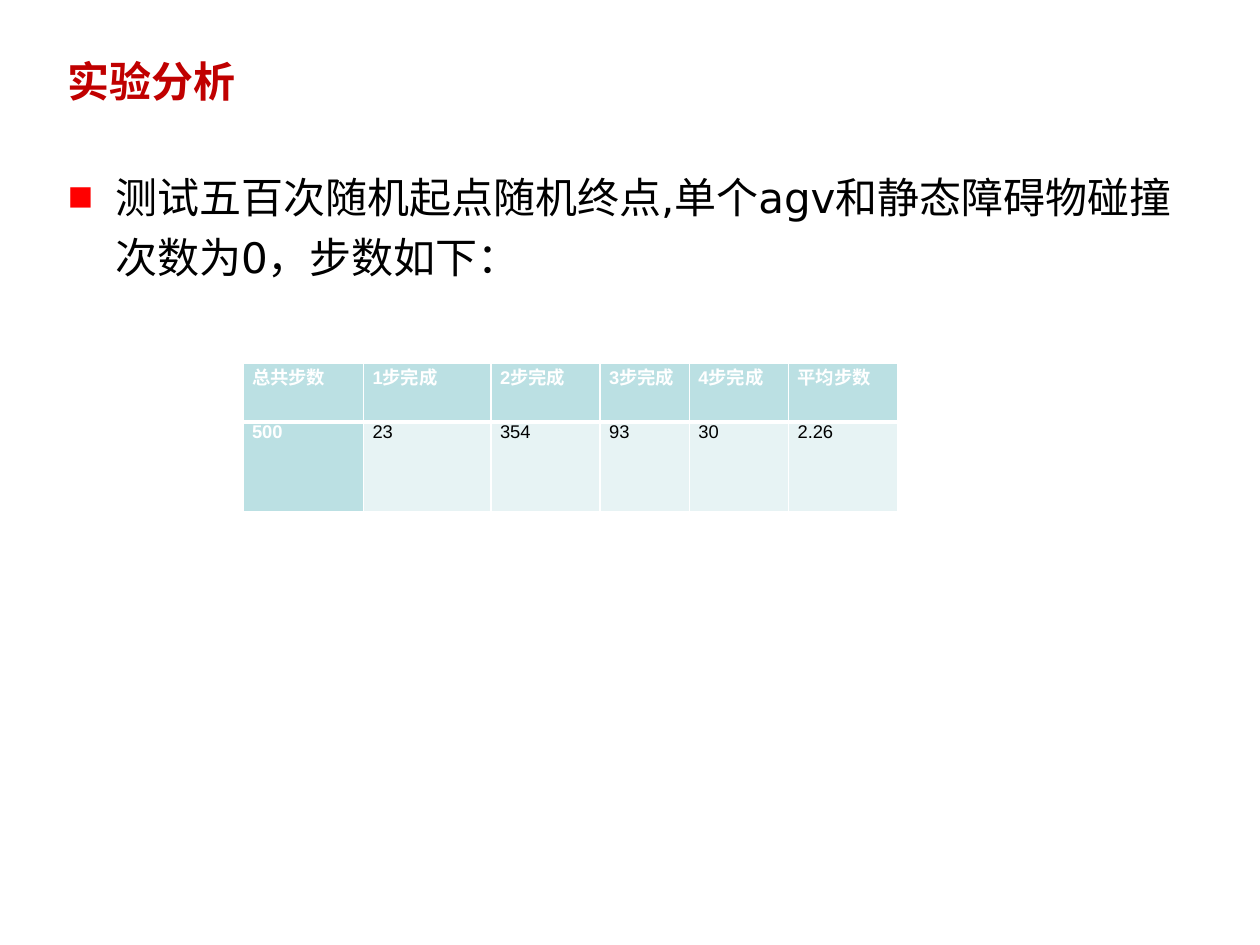
from dataclasses import dataclass

from lxml import etree
from pptx import Presentation
from pptx import util as u
from pptx.dml.color import RGBColor
from pptx.enum import text as t
from pptx.oxml import ns

RED = RGBColor(0xC0, 0x00, 0x00)
MARK = RGBColor(0xFF, 0x00, 0x00)
BLACK = RGBColor(0x00, 0x00, 0x00)
WHITE = RGBColor(0xFF, 0xFF, 0xFF)
TEAL = RGBColor(0xBB, 0xE0, 0xE3)
PALE = RGBColor(0xE7, 0xF3, 0xF4)


@dataclass
class Column:
    head: str
    value: str
    width: float


COLUMNS = [
    Column("总共步数", "500", 2.43),
    Column("1步完成", "23", 2.57),
    Column("2步完成", "354", 2.2),
    Column("3步完成", "93", 1.8),
    Column("4步完成", "30", 2.0),
    Column("平均步数", "2.26", 2.2),
]
HEIGHTS = [1.19, 1.8]


def write(frame, words: str, *, size=24, font="Arial", color=BLACK, bold=False,
          align=t.PP_ALIGN.LEFT, line=None, before=None):
    para = frame.paragraphs[0]
    para.alignment = align
    para.line_spacing = line
    para.space_before = before
    run = para.add_run()
    run.text = words
    run.font.size = u.Pt(size)
    run.font.name = font
    run.font.bold = bold
    run.font.color.rgb = color
    return para


def node(parent, tag: str, **attrs):
    return etree.SubElement(parent, ns.qn(tag), **attrs)


def add_mark(para, sign: str, color: RGBColor, indent: float) -> None:
    props = para._p.get_or_add_pPr()
    props.set("marL", str(u.Cm(indent)))
    props.set("indent", str(-u.Cm(indent)))
    node(node(props, "a:buClr"), "a:srgbClr", val=str(color))
    node(props, "a:buFont", typeface="Arial")
    node(props, "a:buChar", char=sign)


def add_edges(cell, **widths: float) -> None:
    props = cell._tc.get_or_add_tcPr()
    for side, width in widths.items():
        edge = node(props, f"a:ln{side}", w=str(u.Pt(width)))
        node(node(edge, "a:solidFill"), "a:srgbClr", val=str(WHITE))


def fill_cell(cell, words: str, row: int, col: int) -> None:
    strong = row == 0 or col == 0
    cell.margin_left = cell.margin_right = u.Cm(0.18)
    cell.margin_top = cell.margin_bottom = 0
    add_edges(cell, L=1, R=1, T=3 if row else 1, B=1 if row else 3)
    cell.fill.solid()
    cell.fill.fore_color.rgb = TEAL if strong else PALE
    write(cell.text_frame, words, size=10.5, bold=strong,
          color=WHITE if strong else BLACK, align=t.PP_ALIGN.JUSTIFY)


def add_grid(slide, left: float, top: float) -> None:
    wide = sum(column.width for column in COLUMNS)
    grid = slide.shapes.add_table(
        len(HEIGHTS), len(COLUMNS), u.Cm(left), u.Cm(top),
        u.Cm(wide), u.Cm(sum(HEIGHTS))).table
    for row, height in enumerate(HEIGHTS):
        grid.rows[row].height = u.Cm(height)
    for col, column in enumerate(COLUMNS):
        grid.columns[col].width = u.Cm(column.width)
        for row, words in enumerate((column.head, column.value)):
            fill_cell(grid.cell(row, col), words, row, col)


def main() -> None:
    deck = Presentation()
    deck.slide_width, deck.slide_height = u.Cm(25.4), u.Cm(19.05)
    slide = deck.slides.add_slide(deck.slide_layouts[5])

    title = slide.shapes.title
    title.left, title.top = u.Cm(1.1), u.Cm(0.92)
    title.width, title.height = u.Cm(19), u.Cm(1.4)
    title.text_frame.auto_size = t.MSO_AUTO_SIZE.NONE
    title.text_frame.vertical_anchor = t.MSO_ANCHOR.MIDDLE
    write(title.text_frame, "实验分析", color=RED, bold=True)

    body = slide.shapes.add_textbox(u.Cm(1.12), u.Cm(3.12), u.Cm(23.4), u.Cm(14.8))
    body.text_frame.word_wrap = True
    para = write(
        body.text_frame,
        "测试五百次随机起点随机终点,单个agv和静态障碍物碰撞次数为0，步数如下：",
        font="DejaVu Sans", line=1.2, before=u.Pt(4.8))
    add_mark(para, "■", MARK, 0.95)

    add_grid(slide, 4.9, 7.32)
    deck.save("out.pptx")


if __name__ == "__main__":
    main()
